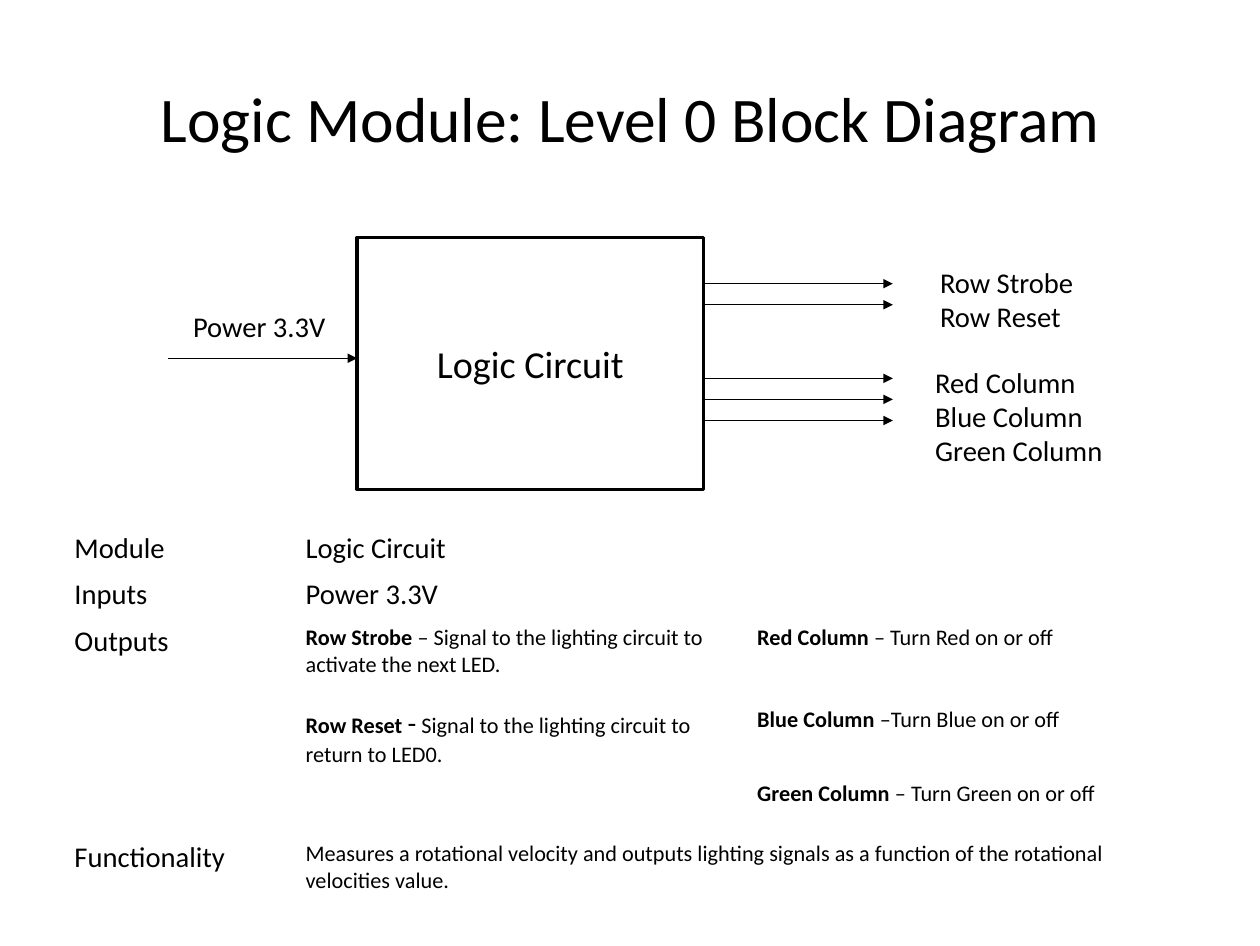
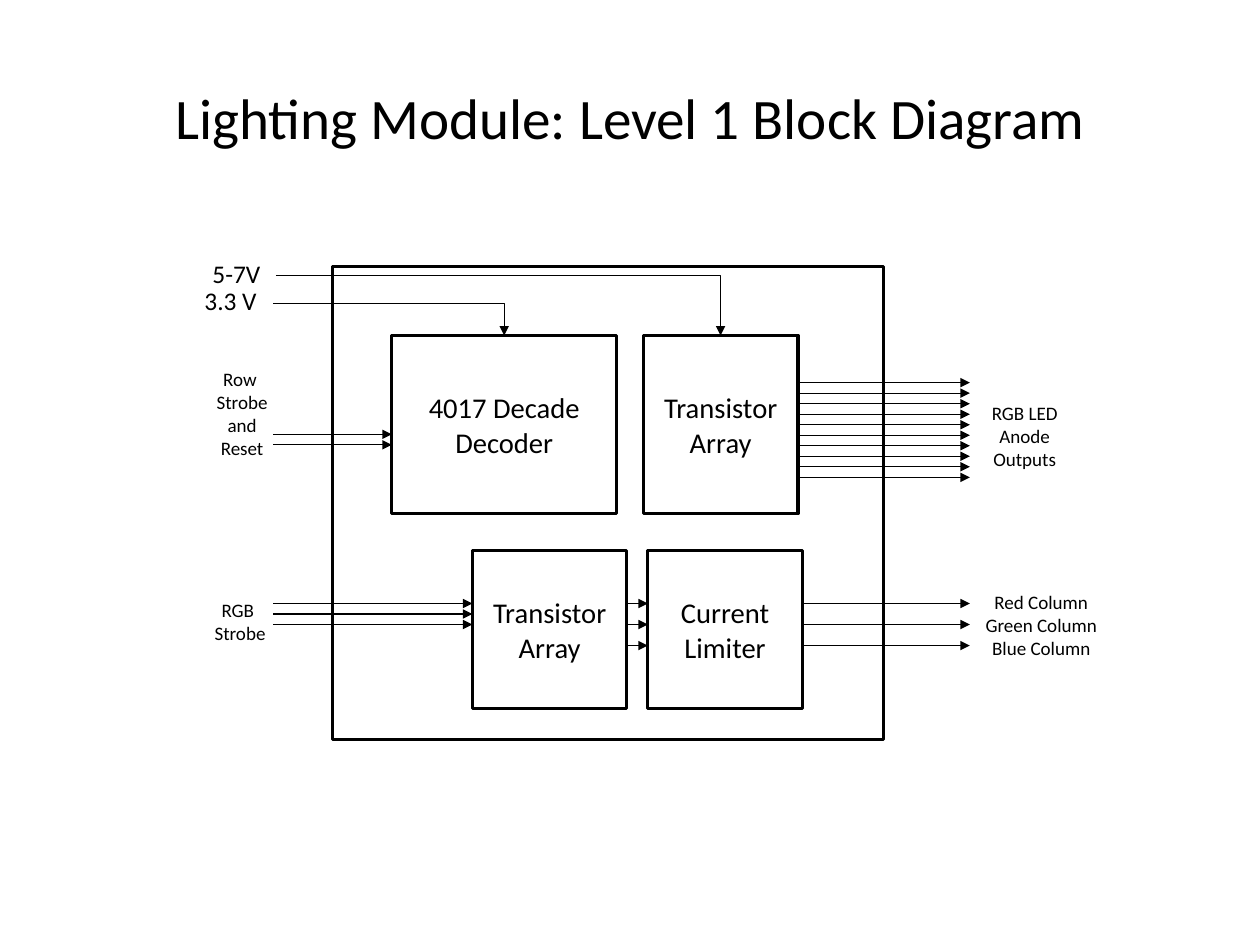
from dataclasses import dataclass

from lxml import etree
from pptx import Presentation
from pptx.dml.color import RGBColor
from pptx.enum.shapes import MSO_CONNECTOR, MSO_SHAPE
from pptx.enum.text import MSO_ANCHOR, MSO_AUTO_SIZE, PP_ALIGN
from pptx.oxml.ns import qn
from pptx.slide import Slide
from pptx.text.text import TextFrame
from pptx.util import Pt

BLACK = RGBColor(0, 0, 0)
WHITE = RGBColor(255, 255, 255)
FONT = "Calibri"
RECTANGLE = MSO_SHAPE.RECTANGLE
STRAIGHT = MSO_CONNECTOR.STRAIGHT
ELBOW = MSO_CONNECTOR.ELBOW
LEFT = PP_ALIGN.LEFT
CENTER = PP_ALIGN.CENTER
TOP = MSO_ANCHOR.TOP
MIDDLE = MSO_ANCHOR.MIDDLE
FIT_TEXT = MSO_AUTO_SIZE.SHAPE_TO_FIT_TEXT
NO_GRID_STYLE = "{2D5ABB26-0587-4C30-8999-92F81FD0307C}"
WIDE_STEP = 13.25
NARROW_STEP = 6.62


@dataclass(frozen=True)
class Run:
    text: str
    size: float = 14
    bold: bool = False


@dataclass(frozen=True)
class Block:
    left: float
    top: float
    width: float
    height: float
    text: str = ""
    size: float = 18


@dataclass(frozen=True)
class Label(Block):
    align: PP_ALIGN = CENTER
    wrap: bool = False


@dataclass(frozen=True)
class Arrows:
    start: float
    end: float
    top: float
    count: int = 1
    step: float = WIDE_STEP


@dataclass(frozen=True)
class Route:
    left: float
    top: float
    right: float
    bottom: float


@dataclass(frozen=True)
class Entry:
    row: int
    column: int
    runs: tuple[Run, ...]
    last_row: int
    last_column: int


def set_values(target: object, values: dict[str, object]) -> None:
    for name, value in values.items():
        setattr(target, name, value)


def write_paragraph(paragraph, runs: tuple[Run, ...], align: PP_ALIGN) -> None:
    paragraph.alignment = align
    for item in runs:
        run = paragraph.add_run()
        run.text = item.text
        set_values(run.font, {"name": FONT, "size": Pt(item.size), "bold": item.bold})
        run.font.color.rgb = BLACK


def write_lines(frame: TextFrame, text: str, size: float, align: PP_ALIGN) -> None:
    for index, line in enumerate(text.split("\n")):
        paragraph = frame.add_paragraph() if index else frame.paragraphs[0]
        write_paragraph(paragraph, (Run(line, size),), align)


def place(block: Block) -> tuple[int, int, int, int]:
    return Pt(block.left), Pt(block.top), Pt(block.width), Pt(block.height)


def add_title(slide: Slide, text: str, size: float) -> None:
    title = Block(39.7, 23.9, 714.4, 99.2)
    frame = slide.shapes.add_textbox(*place(title)).text_frame
    set_values(frame, {"word_wrap": True, "vertical_anchor": MIDDLE})
    write_lines(frame, text, size, CENTER)


def add_label(slide: Slide, label: Label) -> None:
    frame = slide.shapes.add_textbox(*place(label)).text_frame
    set_values(frame, {"word_wrap": label.wrap, "vertical_anchor": TOP, "auto_size": FIT_TEXT})
    write_lines(frame, label.text, label.size, label.align)


def add_block(slide: Slide, block: Block) -> None:
    shape = slide.shapes.add_shape(RECTANGLE, *place(block))
    shape.shadow.inherit = False
    shape.fill.solid()
    shape.fill.fore_color.rgb = WHITE
    shape.line.color.rgb = BLACK
    shape.line.width = Pt(2)
    if block.text:
        write_lines(shape.text_frame, block.text, block.size, CENTER)


def add_arrow(slide: Slide, kind: MSO_CONNECTOR, route: Route) -> None:
    connector = slide.shapes.add_connector(
        kind, Pt(route.left), Pt(route.top), Pt(route.right), Pt(route.bottom)
    )
    connector.line.color.rgb = BLACK
    connector.line.width = Pt(0.75)
    properties = connector._element.spPr
    if kind == ELBOW:
        properties.find(qn("a:prstGeom")).set("prst", "bentConnector2")
    etree.SubElement(properties.find(qn("a:ln")), qn("a:tailEnd"), type="triangle")
    etree.SubElement(properties, qn("a:effectLst"))


def add_arrows(slide: Slide, arrows: Arrows) -> None:
    for index in range(arrows.count):
        height = arrows.top + index * arrows.step
        add_arrow(slide, STRAIGHT, Route(arrows.start, height, arrows.end, height))


def add_module_table(slide: Slide) -> None:
    entries = (
        Entry(0, 0, (Run("Module", 18),), 0, 0),
        Entry(0, 1, (Run("Logic Circuit", 18),), 0, 2),
        Entry(1, 0, (Run("Inputs", 18),), 1, 0),
        Entry(1, 1, (Run("Power 3.3V", 18),), 1, 2),
        Entry(2, 0, (Run("Outputs", 18),), 4, 0),
        Entry(2, 1, (
            Run("Row Strobe", bold=True),
            Run(" – Signal to the lighting circuit to activate the next LED."),
        ), 2, 1),
        Entry(2, 2, (Run("Red Column ", bold=True), Run("– Turn Red on or off")), 2, 2),
        Entry(3, 1, (
            Run("Row Reset ", bold=True),
            Run("-", 18),
            Run(" ", bold=True),
            Run("Signal to the lighting circuit to return to LED0."),
        ), 3, 1),
        Entry(3, 2, (Run("Blue Column ", bold=True), Run("–Turn Blue on or off")), 3, 2),
        Entry(4, 2, (Run("Green Column ", bold=True), Run("– Turn Green on or off")), 4, 2),
        Entry(5, 0, (Run("Functionality", 18),), 5, 0),
        Entry(5, 1, (Run(
            "Measures a rotational velocity and outputs lighting signals "
            "as a function of the rotational velocities value."
        ),), 5, 2),
    )
    widths = (145.6, 284.4, 284.4)
    heights = (29.3, 29.3, 51.8, 46.2, 38.3, 41)
    area = Block(39.7, 330.8, sum(widths), sum(heights))
    table = slide.shapes.add_table(len(heights), len(widths), *place(area)).table
    set_values(table, {"first_row": False, "horz_banding": False})
    table._tbl.tblPr.find(qn("a:tableStyleId")).text = NO_GRID_STYLE
    for column, width in zip(table.columns, widths):
        column.width = Pt(width)
    for row, height in zip(table.rows, heights):
        row.height = Pt(height)
    for cell in table.iter_cells():
        cell.fill.background()
    for entry in entries:
        cell = table.cell(entry.row, entry.column)
        last = table.cell(entry.last_row, entry.last_column)
        if (entry.row, entry.column) != (entry.last_row, entry.last_column):
            cell.merge(last)
        write_paragraph(cell.text_frame.paragraphs[0], entry.runs, LEFT)


def add_diagram(
    slide: Slide,
    blocks: tuple[Block, ...],
    arrow_groups: tuple[Arrows, ...],
    labels: tuple[Label, ...],
    feeds: tuple[Route, ...] = (),
) -> None:
    for block in blocks:
        add_block(slide, block)
    for arrows in arrow_groups:
        add_arrows(slide, arrows)
    for feed in feeds:
        add_arrow(slide, ELBOW, feed)
    for label in labels:
        add_label(slide, label)


def build_logic_slide(slide: Slide) -> None:
    add_title(slide, "Logic Module: Level 0 Block Diagram", 40)
    add_module_table(slide)
    add_diagram(
        slide,
        blocks=(Block(224.9, 149.4, 218.2, 158.6, "Logic Circuit", 24),),
        arrow_groups=(
            Arrows(105.8, 224.9, 225.5),
            Arrows(443.1, 562.3, 178.6, 2),
            Arrows(443.1, 562.3, 238.2, 3),
        ),
        labels=(
            Label(114.5, 190.8, 97.9, 28.8, "Power 3.3V", align=LEFT),
            Label(584.9, 163, 118.8, 50.4, "Row Strobe\nRow Reset", align=LEFT, wrap=True),
            Label(581.9, 225.9, 139, 72, "Red Column\nBlue Column\nGreen Column", align=LEFT, wrap=True),
        ),
    )


def build_lighting_slide(slide: Slide) -> None:
    add_title(slide, "Lighting Module: Level 1 Block Diagram", 36)
    upper_top, upper_height = 211.2, 112.2
    lower_top, lower_height = 346.6, 99.4
    array_width = 97.3
    input_left, output_right = 172, 610.8
    column_top = 379.9
    add_diagram(
        slide,
        blocks=(
            Block(209.5, 167.8, 347, 297.8),
            Block(246.7, upper_top, 141.7, upper_height, "4017 Decade Decoder"),
            Block(405.2, upper_top, array_width, upper_height, "Transistor Array"),
            Block(297.5, lower_top, array_width, lower_height, "Transistor Array"),
            Block(408, lower_top, array_width, lower_height, "Current\nLimiter"),
        ),
        arrow_groups=(
            Arrows(input_left, 246.7, 273.4, 2, NARROW_STEP),
            Arrows(502.5, output_right, 240.9, 10, NARROW_STEP),
            Arrows(input_left, 297.5, column_top, 3, NARROW_STEP),
            Arrows(394.8, 408, column_top, 3),
            Arrows(505.3, output_right, column_top, 3),
        ),
        feeds=(
            Route(input_left, 191, 317.5, upper_top),
            Route(173.7, 173.4, 453.8, upper_top),
        ),
        labels=(
            Label(126.7, 159.1, 44.6, 26.6, "5-7V", 16, LEFT),
            Label(121.7, 176.2, 50, 26.6, "3.3 V", 16, LEFT),
            Label(127.5, 227.8, 50, 64.8, "Row \nStrobe\nand\nReset", 12),
            Label(126.2, 373.2, 50, 36, "RGB \nStrobe", 12),
            Label(614.4, 249.2, 61.9, 50.4, "RGB LED\nAnode\nOutputs", 12, wrap=True),
            Label(604.3, 368.2, 103, 50.4, "Red Column\nGreen Column\nBlue Column", 12, wrap=True),
        ),
    )


def main() -> None:
    presentation = Presentation()
    set_values(presentation, {"slide_width": Pt(793.5), "slide_height": Pt(595.5)})
    blank_layout = presentation.slide_layouts[6]
    for build in (build_logic_slide, build_lighting_slide):
        build(presentation.slides.add_slide(blank_layout))
    presentation.save("out.pptx")


if __name__ == "__main__":
    main()
